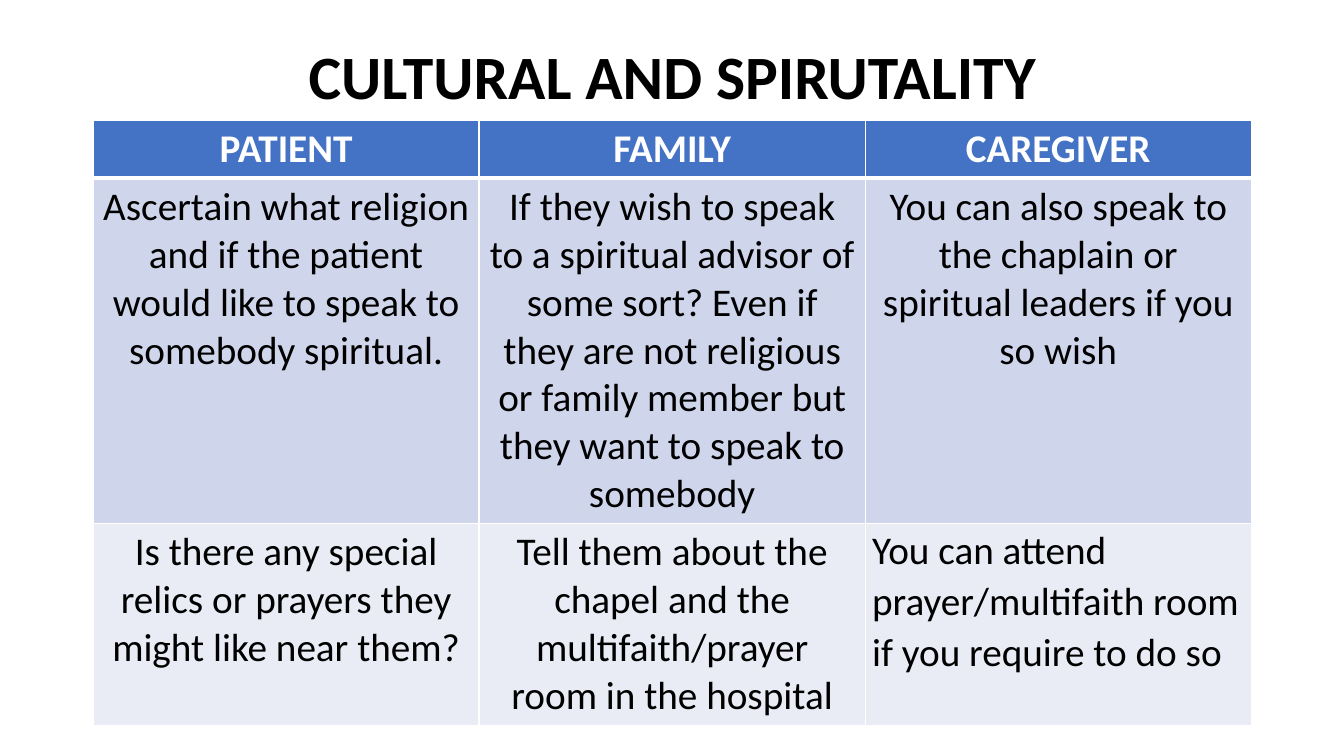
import pptx
import pptx.dml.color
import pptx.enum.text
import pptx.oxml
import pptx.oxml.ns
import pptx.util
from lxml import etree

EMU_PER_PX = 914400 / 100.8
FONT = "Calibri"
COLORS = {
    "text": "000000",
    "white": "FFFFFF",
    "header": "4472C4",
    "advice": "CFD5EA",
    "places": "E9EBF5",
}
ROLES = ["PATIENT", "FAMILY", "CAREGIVER"]
ADVICE = [
    "Ascertain what religion and if the patient would like to speak to somebody spiritual.",
    "If they wish to speak to a spiritual advisor of some sort? Even if they are "
    "not religious or family member but they want to speak to somebody",
    "You can also speak to the chaplain or spiritual leaders if you so wish",
]
PLACES = [
    "Is there any special relics or prayers they might like near them?",
    "Tell them about the chapel and the multifaith/prayer room in the hospital",
    "You can attend prayer/multifaith room if you require to do so",
]
# Texts, fill, text colour, bold, height in px
ROWS = [
    (ROLES, "header", "white", True, 58),
    (ADVICE, "advice", "text", False, 345),
    (PLACES, "places", "text", False, 201),
]
COLUMN_WIDTH = 386
CENTER = pptx.enum.text.PP_ALIGN.CENTER


def px(length):
    return pptx.util.Emu(round(length * EMU_PER_PX))


def rgb(key):
    return pptx.dml.color.RGBColor.from_string(COLORS[key])


def format_paragraph(paragraph, size, color, bold):
    paragraph.alignment = CENTER
    paragraph.font.name = FONT
    paragraph.font.size = pptx.util.Pt(size)
    paragraph.font.bold = bold
    paragraph.font.color.rgb = rgb(color)


def add_title(slide, text):
    title = slide.shapes.title
    title.left, title.top, title.width, title.height = map(px, (93, 40, 1159, 80))
    frame = title.text_frame
    frame.text = text
    frame.word_wrap = True
    frame.auto_size = pptx.enum.text.MSO_AUTO_SIZE.NONE
    frame.vertical_anchor = pptx.enum.text.MSO_ANCHOR.MIDDLE
    format_paragraph(frame.paragraphs[0], 44, "text", True)
    frame.paragraphs[0].line_spacing = 0.9


def set_borders(cell, top, bottom):
    """Draw white cell edges; top and bottom are widths in points."""
    properties = cell._tc.get_or_add_tcPr()
    widths = {"lnL": 1, "lnR": 1, "lnT": top, "lnB": bottom}
    for position, (edge, width) in enumerate(widths.items()):
        line = etree.fromstring(
            f'<a:{edge} {pptx.oxml.ns.nsdecls("a")} w="{pptx.util.Pt(width)}">'
            f'<a:solidFill><a:srgbClr val="{COLORS["white"]}"/></a:solidFill></a:{edge}>',
            pptx.oxml.oxml_parser,
        )
        properties.insert(position, line)


def add_care_table(slide):
    width = COLUMN_WIDTH * len(ROLES)
    height = sum(row[-1] for row in ROWS)
    frame = slide.shapes.add_table(
        len(ROWS), len(ROLES), px(93), px(120), px(width), px(height))
    table = frame.table
    for column in table.columns:
        column.width = px(COLUMN_WIDTH)
    for r, (texts, fill, color, bold, row_height) in enumerate(ROWS):
        table.rows[r].height = px(row_height)
        for c, text in enumerate(texts):
            cell = table.cell(r, c)
            cell.text = text
            cell.fill.solid()
            cell.fill.fore_color.rgb = rgb(fill)
            set_borders(cell, top=3 if r == 1 else 1, bottom=3 if r == 0 else 1)
            format_paragraph(cell.text_frame.paragraphs[0], 28, color, bold)
    return table


def align_prayer_room_cell(cell):
    cell.margin_left = cell.margin_right = px(7)
    cell.margin_top = cell.margin_bottom = 0
    paragraph = cell.text_frame.paragraphs[0]
    paragraph.alignment = pptx.enum.text.PP_ALIGN.LEFT
    paragraph.line_spacing = 1.07


def main():
    deck = pptx.Presentation()
    deck.slide_width = pptx.util.Inches(13.33)
    deck.slide_height = pptx.util.Inches(7.5)
    slide = deck.slides.add_slide(deck.slide_layouts.get_by_name("Title Only"))
    add_title(slide, "CULTURAL AND SPIRUTALITY")
    table = add_care_table(slide)
    align_prayer_room_cell(table.cell(2, 2))
    deck.save("out.pptx")


if __name__ == "__main__":
    main()
